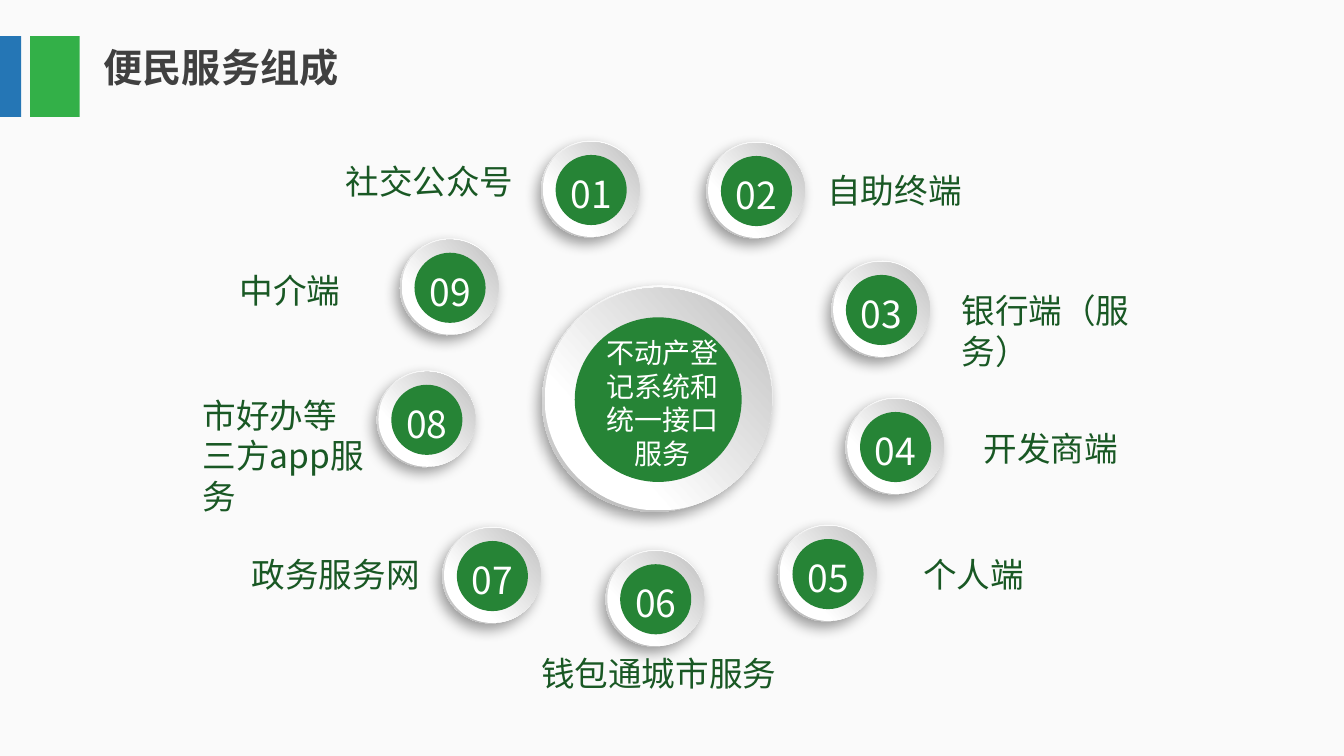
from dataclasses import dataclass

from lxml import etree
from pptx import Presentation
from pptx.dml.color import RGBColor
from pptx.enum.shapes import MSO_SHAPE
from pptx.enum.text import MSO_ANCHOR, MSO_AUTO_SIZE, PP_ALIGN
from pptx.oxml.ns import qn
from pptx.util import Inches, Pt

OVAL = MSO_SHAPE.OVAL
RECTANGLE = MSO_SHAPE.RECTANGLE
TOP = MSO_ANCHOR.TOP
GROW = MSO_AUTO_SIZE.SHAPE_TO_FIT_TEXT
LEFT = PP_ALIGN.LEFT
CENTER = PP_ALIGN.CENTER

# The slide is a grid of square cells, ten to the inch.
COLUMNS, ROWS = 133.33, 75
CELL = Inches(0.1)


@dataclass(frozen=True)
class Theme:
    font: str = "Noto Sans CJK SC"
    background: str = "FAFAFA"
    title: str = "404040"
    blue: str = "2576B5"
    bright_green: str = "33B048"
    disc: str = "268436"
    label: str = "195824"
    white: str = "FFFFFF"
    rim_grey: str = "B8B8B8"
    face_grey: str = "BFBFBF"
    shadow: str = "000000"
    title_size: float = 28
    label_size: float = 24
    number_size: float = 26.6
    center_size: float = 20


THEME = Theme()
SMALL_DIAL, LARGE_DIAL = 9.8, 23

# Dial centre (column, row), then label text, left, top, width and alignment.
SERVICES = [
    ((58.65, 18.85), "社交公众号", 32.7, 15.5, 19.8, CENTER),
    ((75.05, 18.95), "自助终端", 81.1, 16.4, 18.9, LEFT),
    ((87.45, 30.75), "银行端（服务）", 94.4, 28.3, 23.6, LEFT),
    ((88.85, 44.35), "开发商端", 95.6, 42, 17.3, CENTER),
    ((82.15, 56.95), "个人端", 88.8, 54.5, 15.6, CENTER),
    ((65.05, 59.45), "钱包通城市服务", 52.7, 64.3, 26, LEFT),
    ((48.85, 57.15), "政务服务网", 24, 54.5, 19.7, LEFT),
    ((42.35, 41.65), "市好办等三方app服务", 19.1, 38.7, 18.1, LEFT),
    ((44.65, 28.55), "中介端", 22.8, 26.3, 14.7, LEFT),
]


def cells(*lengths):
    return [round(length * CELL) for length in lengths]


def color(value):
    return RGBColor.from_string(value)


def add_text(shapes, box, text, size, font_color, align=LEFT, bold=False):
    text_frame = shapes.add_textbox(*cells(*box)).text_frame
    text_frame.word_wrap = True
    text_frame.auto_size = GROW
    text_frame.vertical_anchor = TOP
    text_frame.text = text
    paragraph = text_frame.paragraphs[0]
    paragraph.alignment = align
    for run in paragraph.runs:
        run.font.size = Pt(size)
        run.font.bold = bold
        run.font.color.rgb = color(font_color)
        run.font.name = THEME.font
        east_asian = etree.SubElement(run._r.get_or_add_rPr(), qn("a:ea"))
        east_asian.set("typeface", THEME.font)


def add_plain_shape(shapes, kind, box):
    shape = shapes.add_shape(kind, *cells(*box))
    shape.line.fill.background()
    shape.shadow.inherit = False
    return shape


def add_solid(shapes, kind, box, fill_color):
    shape = add_plain_shape(shapes, kind, box)
    shape.fill.solid()
    shape.fill.fore_color.rgb = color(fill_color)


def centered_box(center, width, height):
    return center[0] - width / 2, center[1] - height / 2, width, height


def add_gradient_oval(shapes, box, rotation, stops):
    """Add a turned oval whose gradient runs at 45 degrees and turns with it."""
    shape = add_plain_shape(shapes, OVAL, box)
    shape.rotation = rotation
    shape.fill.gradient()
    shape.fill.gradient_angle = 315
    for stop, (position, stop_color) in zip(shape.fill.gradient_stops, stops):
        stop.position = position
        stop.color.rgb = color(stop_color)
    return shape


def add_drop_shadow(shape):
    effects = shape._element.spPr.find(qn("a:effectLst"))
    shadow = etree.SubElement(
        effects, qn("a:outerShdw"), blurRad=str(Pt(10)), dist=str(Pt(5)),
        dir=str(123 * 60000), algn="ctr", rotWithShape="0")
    shadow_color = etree.SubElement(shadow, qn("a:srgbClr"), val=THEME.shadow)
    etree.SubElement(shadow_color, qn("a:alpha"), val="39000")


def add_dial(slide, center, size, text, text_box, text_size):
    """Add a raised ring around a green disc that carries text."""
    shapes = slide.shapes.add_group_shape().shapes
    column, row = center
    rim = add_gradient_oval(
        shapes, centered_box((column - 0.1, row - 0.1), 0.97 * size, size),
        62.3, [(0.17, THEME.white), (0.88, THEME.rim_grey)])
    add_drop_shadow(rim)
    add_gradient_oval(
        shapes, centered_box((column, row - 0.05), 0.96 * size, 0.98 * size),
        273, [(0.29, THEME.white), (0.98, THEME.face_grey)])
    add_solid(shapes, OVAL, centered_box(center, 0.72 * size, 0.71 * size),
              THEME.disc)
    add_text(shapes, text_box, text, text_size, THEME.white, CENTER)


def add_heading(slide):
    add_text(slide.shapes, (9.3, 3.8, 36, 5.7), "便民服务组成",
             THEME.title_size, THEME.title, bold=True)
    add_solid(slide.shapes, RECTANGLE, (3, 3.6, 4.9, 8), THEME.bright_green)
    add_solid(slide.shapes, RECTANGLE, (0, 3.6, 2.1, 8), THEME.blue)


def add_service(slide, number, center, label, left, top, width, align):
    column, row = center
    number_box = centered_box((column, row + 0.4), 6.7, 5.5)
    add_dial(slide, center, SMALL_DIAL, f"{number:02d}", number_box,
             THEME.number_size)
    add_text(slide.shapes, (left, top, width, 5), label,
             THEME.label_size, THEME.label, align)


def main():
    presentation = Presentation()
    presentation.slide_width, presentation.slide_height = cells(COLUMNS, ROWS)
    slide = presentation.slides.add_slide(presentation.slide_layouts[6])
    slide.background.fill.solid()
    slide.background.fill.fore_color.rgb = color(THEME.background)

    add_heading(slide)
    add_dial(slide, (65.3, 39.65), LARGE_DIAL, "不动产登记系统和统一接口服务",
             (58.1, 32.8, 15.2, 14.5), THEME.center_size)
    for number, service in enumerate(SERVICES, start=1):
        add_service(slide, number, *service)

    presentation.save("out.pptx")


if __name__ == "__main__":
    main()
